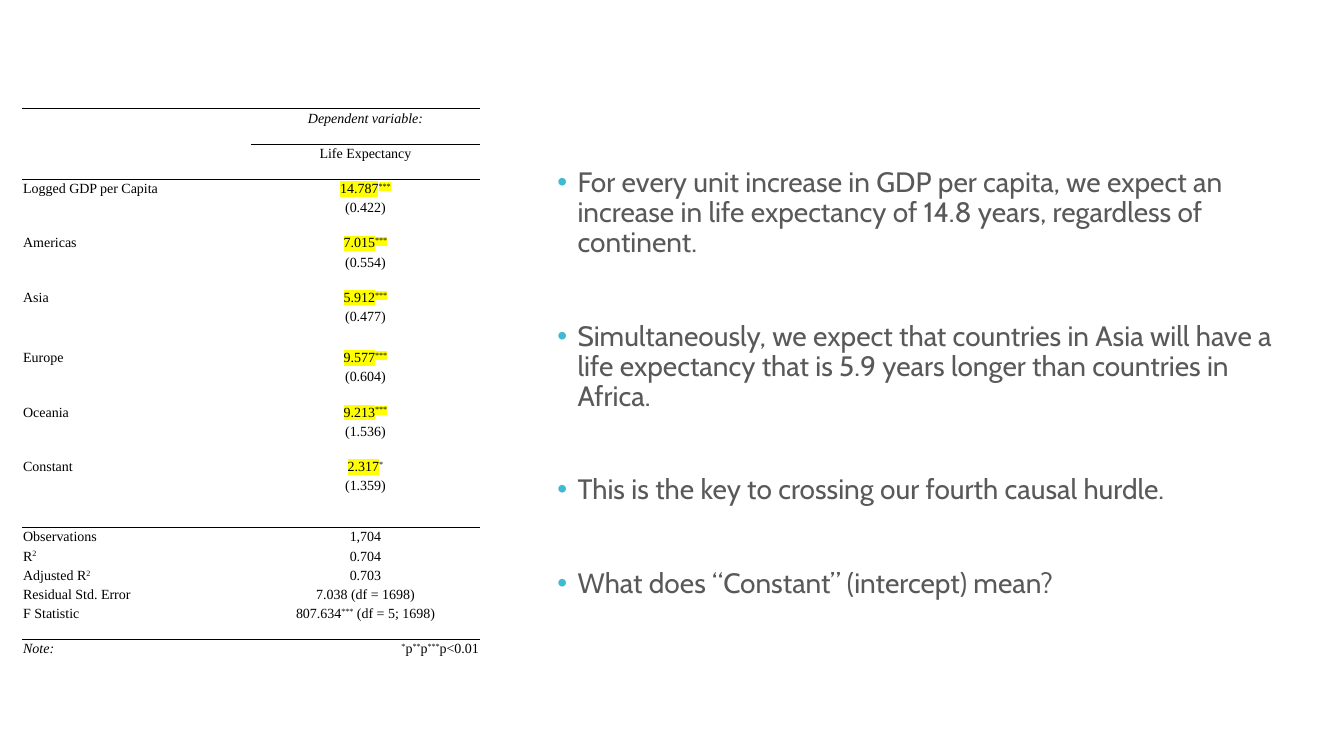
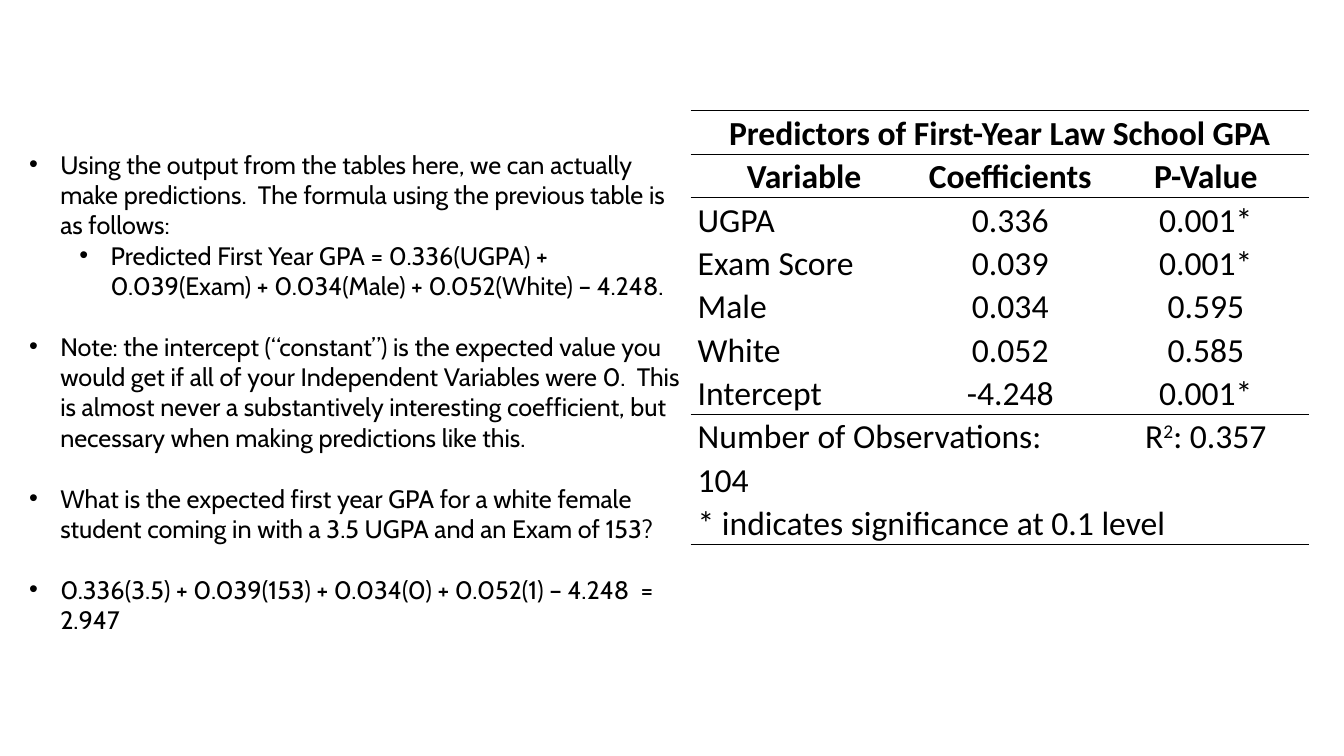
"""Build two slides that read regression tables and predict from them."""
import pptx
import pptx.dml.color
import pptx.enum.text
import pptx.oxml
import pptx.oxml.ns
import pptx.util
from lxml import etree

Inches, Pt = pptx.util.Inches, pptx.util.Pt
RGB = pptx.dml.color.RGBColor
ALIGN = {
    "l": pptx.enum.text.PP_ALIGN.LEFT,
    "c": pptx.enum.text.PP_ALIGN.CENTER,
    "r": pptx.enum.text.PP_ALIGN.RIGHT,
}
COLORS = {"black": "000000", "gray": "595959", "bullet": "40BAD2", "mark": "FFFF00"}
NO_GRID_STYLE = "{2D5ABB26-0587-4C30-8999-92F81FD0307C}"

LIFE_POINTS = [
    (0, "For every unit increase in GDP per capita, we expect an increase in life expectancy of 14.8 years, regardless of continent."),
    (0, "Simultaneously, we expect that countries in Asia will have a life expectancy that is 5.9 years longer than countries in Africa."),
    (0, "This is the key to crossing our fourth causal hurdle."),
    (0, "What does “Constant” (intercept) mean?"),
]
LAW_POINTS = [
    (0, "Using the output from the tables here, we can actually make predictions.  The formula using the previous table is as follows:"),
    (1, "Predicted First Year GPA = 0.336(UGPA) + 0.039(Exam) + 0.034(Male) + 0.052(White) – 4.248."),
    (0, "Note: the intercept (“constant”) is the expected value you would get if all of your Independent Variables were 0.  This is almost never a substantively interesting coefficient, but necessary when making predictions like this."),
    (0, "What is the expected first year GPA for a white female student coming in with a 3.5 UGPA and an Exam of 153?"),
    (0, "0.336(3.5) + 0.039(153) + 0.034(0) + 0.052(1) – 4.248  = 2.947"),
]

COEFFICIENTS = [
    ("Logged GDP per Capita", "~14.787^***^~", "(0.422)"),
    ("Americas", "~7.015^***^~", "(0.554)"),
    ("Asia", "~5.912^***^~", "(0.477)"),
    ("Europe", "~9.577^***^~", "(0.604)"),
    ("Oceania", "~9.213^***^~", "(1.536)"),
    ("Constant", "~2.317~^*^", "(1.359)"),
]
SPACER = ("", "")
LIFE_ROWS = [SPACER, ("", "Dependent variable:"), SPACER, ("", "Life Expectancy"), SPACER]
for name, estimate, error in COEFFICIENTS:
    LIFE_ROWS += [(name, estimate), ("", error), SPACER]
LIFE_ROWS += [
    SPACER,
    ("Observations", "1,704"),
    ("R^2^", "0.704"),
    ("Adjusted R^2^", "0.703"),
    ("Residual Std. Error", "7.038 (df = 1698)"),
    ("F Statistic", "807.634^***^ (df = 5; 1698)"),
    SPACER,
    ("Note:", "^*^p^**^p^***^p<0.01"),
]
LIFE_RULES = (0, 4, 23, 29)
LIFE_WIDE_GAP = 13
LAW_ROWS = [
    ("Predictors of First-Year Law School GPA", "", ""),
    ("Variable", "Coefficients", "P-Value"),
    ("UGPA", "0.336", "0.001*"),
    ("Exam Score", "0.039", "0.001*"),
    ("Male", "0.034", "0.595"),
    ("White", "0.052", "0.585"),
    ("Intercept", "-4.248", "0.001*"),
    ("Number of Observations: 104", "", "R^2^: 0.357"),
    ("* indicates significance at 0.1 level", "", ""),
]
LAW_RULES = (0, 1, 6, 8)
LAW_SPANS = {0: 2, 7: 1, 8: 2}


def add_node(parent, tag, **attrs):
    return etree.SubElement(parent, pptx.oxml.ns.qn(tag), attrs)


def add_text(p, text, size=18, font="Cabin", color="black", bold=False, italic=False,
             align="l", spacing=None):
    p.alignment = ALIGN[align]
    if spacing:
        p.line_spacing = spacing
    for i, chunk in enumerate(text.split("~")):
        for j, piece in enumerate(chunk.split("^")):
            if not piece:
                continue
            r = p.add_run()
            r.text = piece
            f = r.font
            f.size, f.bold, f.italic = Pt(size), bold, italic
            f.color.rgb = RGB.from_string(COLORS[color])
            rpr = r._r.get_or_add_rPr()
            if j % 2:
                rpr.set("baseline", "30000")
            if i % 2:
                add_node(add_node(rpr, "a:highlight"), "a:srgbClr", val=COLORS["mark"])
            f.name = font


def add_bullets(slide, box, points, indent, step=0, gap=0, bullet=None, **style):
    tf = slide.shapes.add_textbox(*map(Inches, box)).text_frame
    tf.word_wrap = True
    for i, (level, text) in enumerate(points):
        p = tf.paragraphs[0] if i == 0 else tf.add_paragraph()
        p.level = level
        ppr = p._p.get_or_add_pPr()
        ppr.set("marL", str(Inches(indent + level * step)))
        ppr.set("indent", str(-Inches(indent)))
        if bullet:
            add_node(add_node(ppr, "a:buClr"), "a:srgbClr", val=COLORS[bullet])
        add_node(ppr, "a:buFont", typeface="Arial")
        add_node(ppr, "a:buChar", char="•")
        if i and level == 0:
            p.space_before = Pt(gap)
        add_text(p, text, **style)


def add_rule(cell, side="a:lnB"):
    ln = pptx.oxml.parse_xml(
        f'<{side} {pptx.oxml.ns.nsdecls("a")} w="{Pt(1)}"><a:solidFill>'
        f'<a:srgbClr val="{COLORS["black"]}"/></a:solidFill></{side}>')
    cell._tc.get_or_add_tcPr().insert(0, ln)


def add_grid(slide, left, top, widths, heights, margins):
    frame = slide.shapes.add_table(len(heights), len(widths), Inches(left), Inches(top),
                                   Inches(sum(widths)), Inches(sum(heights)))
    table = frame.table
    table.first_row = table.horz_banding = False
    table._tbl.tblPr.find(pptx.oxml.ns.qn("a:tableStyleId")).text = NO_GRID_STYLE
    for column, width in zip(table.columns, widths):
        column.width = Inches(width)
    for row, height in zip(table.rows, heights):
        row.height = Inches(height)
    for cell in table.iter_cells():
        cell.fill.background()
        cell.margin_left = cell.margin_right = Inches(margins[0])
        cell.margin_top = cell.margin_bottom = Inches(margins[1])
    return table


def fill_cell(cell, text, **style):
    p = cell.text_frame.paragraphs[0]
    if text:
        add_text(p, text, **style)
    else:
        add_node(p._p, "a:endParaRPr", sz="600")


def build_life_slide(slide):
    heights = [0.16 if row == SPACER else 0.19 for row in LIFE_ROWS]
    heights[LIFE_WIDE_GAP] = 0.22
    table = add_grid(slide, 0.22, 0.92, [2.27] * 2, heights, (0.01, 0.01))
    last = len(LIFE_ROWS) - 1
    for i, row in enumerate(LIFE_ROWS):
        for j, text in enumerate(row):
            cell = table.cell(i, j)
            cell.vertical_anchor = pptx.enum.text.MSO_ANCHOR.MIDDLE
            align = "l" if j == 0 else "r" if i == last else "c"
            fill_cell(cell, text, size=10, font="Times New Roman", align=align,
                      italic=text in ("Dependent variable:", "Note:"))
            if i in LIFE_RULES or (i, j) == (2, 1):
                add_rule(cell)
    for i in LIFE_RULES:
        table.cell(i, 0).merge(table.cell(i, 1))
    add_bullets(slide, (5.43, 1.62, 7.62, 4.25), LIFE_POINTS, 0.2, gap=45,
                bullet="bullet", size=20, color="gray", spacing=0.9)


def build_law_slide(slide):
    add_bullets(slide, (0.19, 1.43, 6.67, 4.95), LAW_POINTS, 0.31, step=0.5, gap=22)
    heights = [0.86 if i == 7 else 0.43 for i in range(len(LAW_ROWS))]
    table = add_grid(slide, 6.85, 1.1, [2.25, 1.84, 2.04], heights, (0.07, 0))
    for i, row in enumerate(LAW_ROWS):
        for j, text in enumerate(row):
            cell = table.cell(i, j)
            fill_cell(cell, text, size=24, font="Calibri", bold=i < 2, spacing=1.07,
                      align="c" if j or i < 2 else "l")
            if i in LAW_RULES:
                add_rule(cell)
            if i == 0:
                add_rule(cell, "a:lnT")
    for i, end in LAW_SPANS.items():
        table.cell(i, 0).merge(table.cell(i, end))


def main():
    prs = pptx.Presentation()
    prs.slide_width, prs.slide_height = Inches(13.33), Inches(7.5)
    for build in (build_life_slide, build_law_slide):
        build(prs.slides.add_slide(prs.slide_layouts[6]))
    prs.save("out.pptx")


if __name__ == "__main__":
    main()
